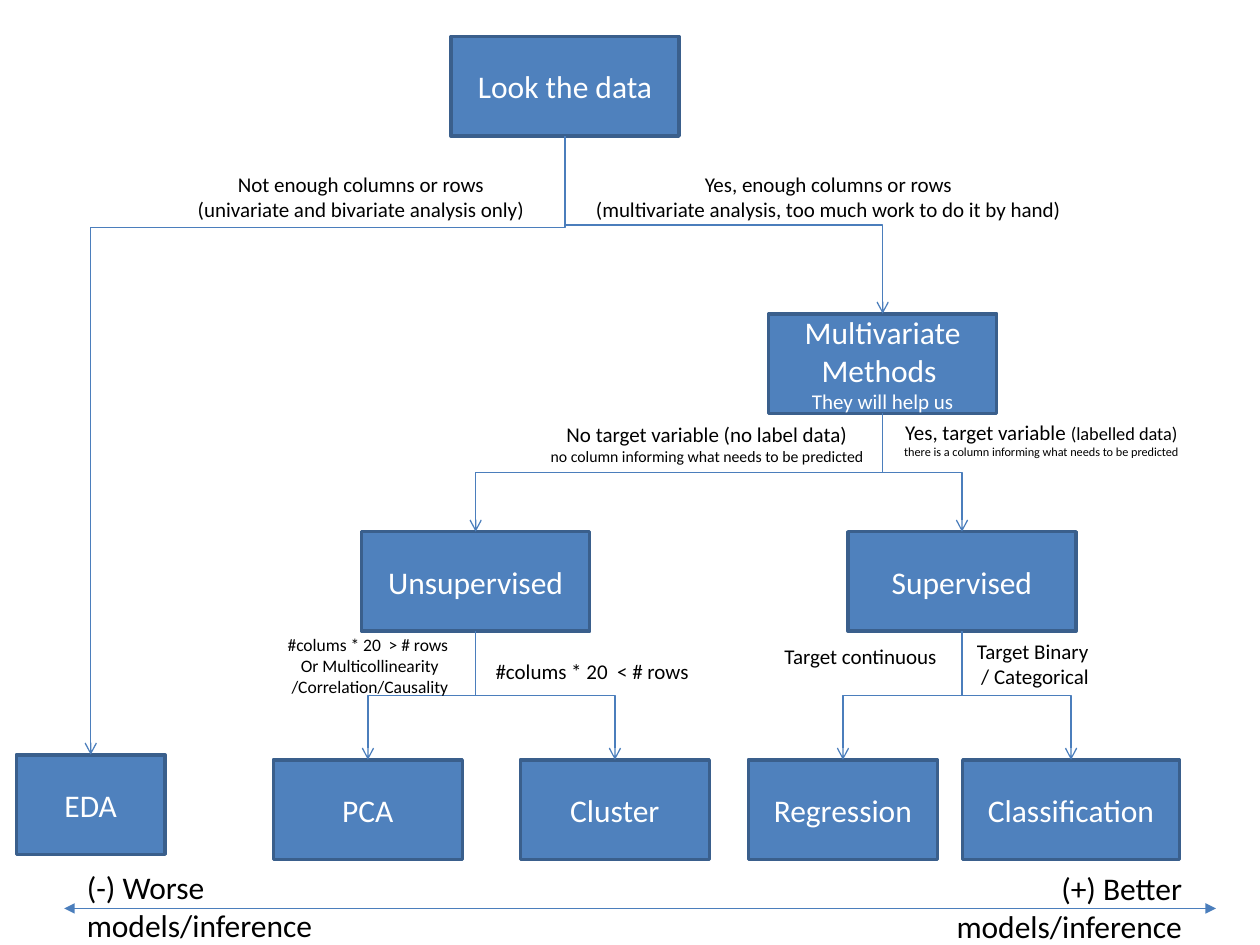
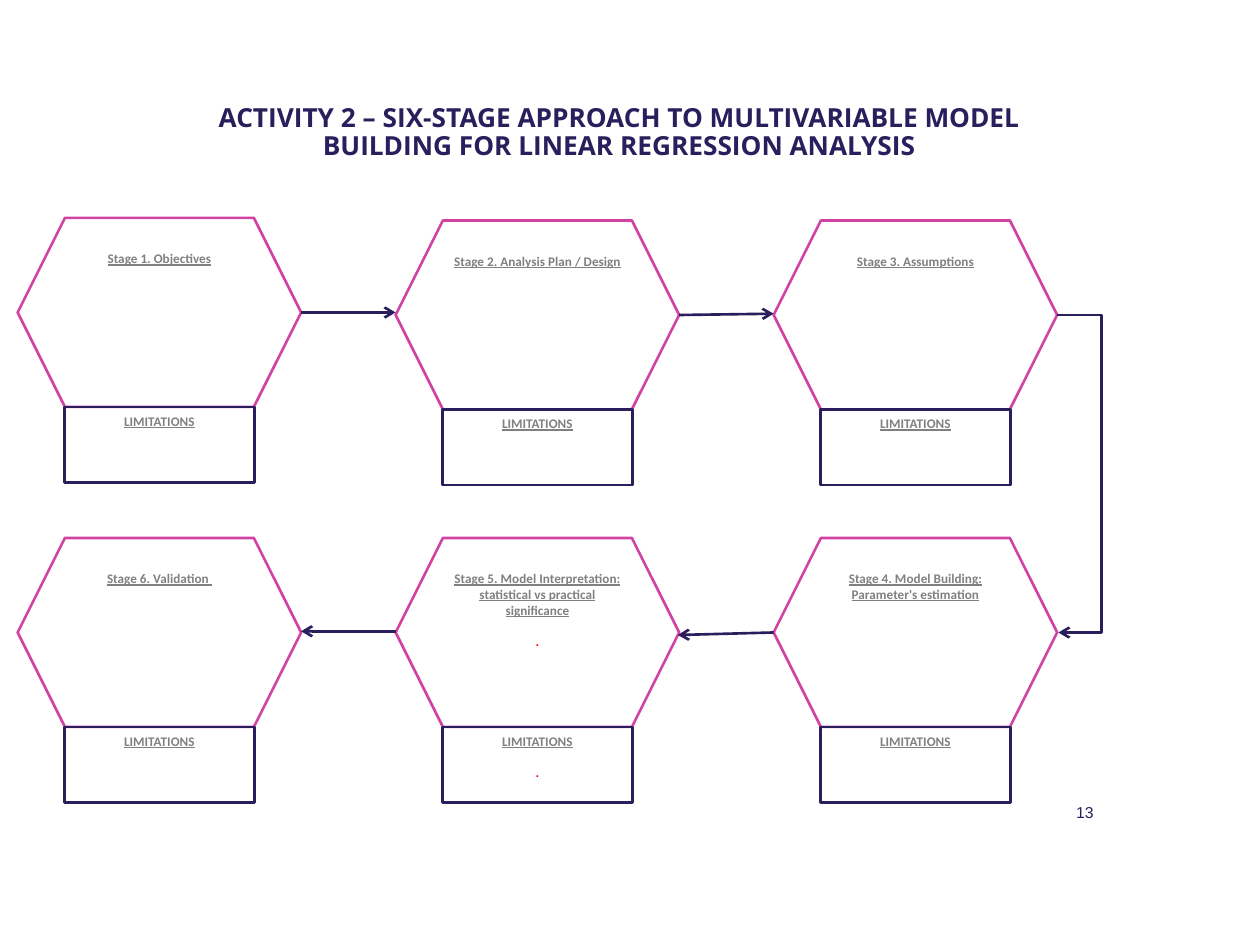
from lxml import etree
from pptx import Presentation
from pptx import util as u
from pptx.dml.color import RGBColor
from pptx.enum import shapes, text
from pptx.oxml import ns

HUES = {
    "box": "4F81BD", "edge": "3A5F8C", "wire": "4B7EBC", "white": "FFFFFF",
    "black": "000000", "navy": "2B1E5C", "pink": "D142A2", "gray": "808080", "red": "FF0000",
}
HUES = {name: RGBColor.from_string(code) for name, code in HUES.items()}
MID, LEFT, RIGHT = text.PP_ALIGN.CENTER, text.PP_ALIGN.LEFT, text.PP_ALIGN.RIGHT
KIND, LINK = shapes.MSO_SHAPE, shapes.MSO_CONNECTOR
TOP, HALF = text.MSO_ANCHOR.TOP, text.MSO_ANCHOR.MIDDLE

deck = Presentation()
deck.slide_width, deck.slide_height = u.Inches(10), u.Inches(7.5)
cell = deck.slide_width / 100


def write(shape, paras, size, hue, align=MID, face="Calibri", bold=None, line=None):
    frame = shape.text_frame
    for i, para in enumerate(paras):
        p = frame.add_paragraph() if i else frame.paragraphs[0]
        p.alignment = align
        font = p.font
        font.name, font.size, font.bold, font.underline = face, u.Pt(size), bold, line
        font.color.rgb = HUES[hue]
        if isinstance(para, str):
            p.text = para
            continue
        for words, points in para:
            if words == "\v":
                p.add_line_break()
            else:
                run = p.add_run()
                run.text, run.font.size = words, u.Pt(points)
    return frame


def wire(slide, ends, hue, width, tips, bend=None):
    kind = LINK.STRAIGHT if bend is None else LINK.ELBOW
    link = slide.shapes.add_connector(kind, *[int(v * cell) for v in ends])
    link.line.color.rgb, link.line.width = HUES[hue], u.Pt(width)
    props = link._element.spPr
    for tag, tip in tips.items():
        etree.SubElement(props.find(ns.qn("a:ln")), ns.qn("a:" + tag), type=tip)
    etree.SubElement(props, ns.qn("a:effectLst"))
    if bend is not None:
        guides = props.find(ns.qn("a:prstGeom")).get_or_add_avLst()
        etree.SubElement(guides, ns.qn("a:gd"), name="adj1", fmla=f"val {round(bend * 100000)}")
    return link


tree = deck.slides.add_slide(deck.slide_layouts[6])
nodes = {
    "Look the data": (35.8, 2.9, 18.1),
    "EDA": (1.3, 59.9, 11.8),
    "Unsupervised": (28.7, 42.2, 18.1),
    "Supervised": (67.3, 42.2, 18.1),
    "Multivariate Methods ": (61, 24.9, 18.1),
    "PCA": (21.7, 60.3, 15),
    "Cluster": (41.3, 60.3, 15),
    "Regression": (59.4, 60.3, 15),
    "Classification": (76.4, 60.3, 17.2),
}
tall = 7.9
for name, (x, y, w) in nodes.items():
    box = tree.shapes.add_shape(KIND.RECTANGLE, *[int(v * cell) for v in (x, y, w, tall)])
    box.shadow.inherit = False
    box.fill.solid()
    box.fill.fore_color.rgb = HUES["box"]
    box.line.color.rgb, box.line.width = HUES["edge"], u.Pt(2)
    multi = name.startswith("Multi")
    paras = [name, [("They will help us", 12)]] if multi else [name]
    write(box, paras, 18, "white").vertical_anchor = HALF

paths = [
    ("Look the data", "EDA", 0.148),
    ("Look the data", "Multivariate Methods ", 0.5),
    ("Multivariate Methods ", "Unsupervised", 0.5),
    ("Multivariate Methods ", "Supervised", 0.5),
    ("Unsupervised", "PCA", 0.5),
    ("Unsupervised", "Cluster", 0.5),
    ("Supervised", "Regression", 0.5),
    ("Supervised", "Classification", 0.5),
]
for start, end, bend in paths:
    (x1, y1, w1), (x2, y2, w2) = nodes[start], nodes[end]
    x1, x2, y1 = x1 + w1 / 2, x2 + w2 / 2, y1 + tall
    cx, cy, dx, dy = (x1 + x2) / 2, (y1 + y2) / 2, abs(x2 - x1) / 2, (y2 - y1) / 2
    link = wire(tree, (cx - dy, cy - dx, cx + dy, cy + dx), "wire", 0.75, {"tailEnd": "arrow"}, bend)
    xfrm = link._element.spPr.find(ns.qn("a:xfrm"))
    xfrm.set("rot", "5400000" if x2 < x1 else "16200000")
    if x2 > x1:
        xfrm.set("flipH", "1")

wire(tree, (5.1, 72.1, 96.5, 72.1), "wire", 0.75, {"headEnd": "triangle", "tailEnd": "triangle"})

notes = [
    ((14.6, 13.1, 28.1, 5), 12, MID,
     ["Not enough columns or rows", "(univariate and bivariate analysis only)"]),
    ((46.1, 13.1, 39.3, 5), 12, MID,
     ["Yes, enough columns or rows", "(multivariate analysis, too much work to do it by hand)"]),
    ((42.5, 33, 27.2, 4.5), 12, MID,
     [[("No target variable (no label data)", 12), ("\v", 12),
       ("no column informing what needs to be predicted", 9)]]),
    ((70.5, 32.8, 24.3, 4.2), 12, MID,
     [[("Yes, target variable ", 12), ("(labelled data)", 10.5), ("\v", 10.5),
       ("there is a column informing what needs to be predicted", 7)]]),
    ((21.7, 49.8, 15.3, 6.1), 10, MID,
     ["#colums * 20  > # rows ", "Or Multicollinearity\v/Correlation/Causality"]),
    ((38.2, 51.8, 17.6, 3), 12, MID, ["#colums * 20  < # rows"]),
    ((61.2, 50.6, 14.2, 3), 12, MID, ["Target continuous"]),
    ((76.5, 50.2, 11.3, 5), 12, MID, ["Target Binary \v/ Categorical"]),
    ((5.9, 68.4, 22.8, 7.1), 18, LEFT, ["(-) Worse models/inference"]),
    ((72, 68.5, 22.8, 7.1), 18, RIGHT, ["(+) Better models/inference"]),
]
for area, size, align, paras in notes:
    note = tree.shapes.add_textbox(*[int(v * cell) for v in area])
    frame = write(note, paras, size, "black", align)
    frame.word_wrap = size == 18
    frame.auto_size = text.MSO_AUTO_SIZE.SHAPE_TO_FIT_TEXT

plan = deck.slides.add_slide(deck.slide_layouts[5])
title = plan.shapes.title
title.left, title.top, title.width, title.height = [int(v * cell) for v in (15.4, 8.1, 67.5, 7.8)]
frame = write(
    title,
    ["ACTIVITY 2 – SIX-STAGE APPROACH TO MULTIVARIABLE MODEL BUILDING FOR LINEAR REGRESSION ANALYSIS"],
    15, "navy", MID, "Open Sans", True)
frame.auto_size, frame.word_wrap = text.MSO_AUTO_SIZE.NONE, True
frame.vertical_anchor, frame.margin_top = TOP, u.Inches(0.02)
frame.paragraphs[0].line_spacing = 0.9

page = plan.shapes.add_textbox(*[int(v * cell) for v in (70.6, 63, 16.9, 3)])
frame = write(page, ["13"], 9, "navy", RIGHT, "Arial")
frame.word_wrap, frame.vertical_anchor = True, HALF
frame.margin_left = frame.margin_right = u.Inches(0.07)
frame.margin_top = frame.margin_bottom = u.Inches(0.04)

stages = [
    "Stage 1. Objectives",
    "Stage 2. Analysis Plan / Design",
    "Stage 3. Assumptions",
    "Stage 4. Model Building: Parameter's estimation",
    "Stage 5. Model Interpretation: statistical vs practical significance",
    "Stage 6. Validation ",
]
for i, stage in enumerate(stages):
    row, col = divmod(i, 3)
    x = 1.4 + 30 * (2 - col if row else col)
    y = 17.5 + 25.2 * row - (0.2 if i == 0 else 0)
    parts = [
        (KIND.HEXAGON, (x, y, 22.5, 15), "pink", stage),
        (KIND.RECTANGLE, (x + 3.7, y + 15, 15.1, 6), "navy", "LIMITATIONS"),
    ]
    for kind, area, hue, words in parts:
        part = plan.shapes.add_shape(kind, *[int(v * cell) for v in area])
        part.shadow.inherit = False
        part.fill.background()
        part.line.color.rgb, part.line.width = HUES[hue], u.Pt(1.5)
        paras = [words, "."] if "Stage 5" in stage else [words]
        frame = write(part, paras, 7.5, "gray", MID, "Calibri", True, True)
        frame.vertical_anchor = TOP
        for dot in frame.paragraphs[1:]:
            dot.space_before = u.Pt(9)
            dot.font.underline = False
            dot.font.color.rgb = HUES["red"]

steps = [
    (23.9, 24.8, 31.4, 24.8, "tailEnd"),
    (53.9, 25, 61.4, 24.9, "tailEnd"),
    (53.8, 50.4, 61.4, 50.2, "headEnd"),
    (23.9, 50.1, 31.4, 50.1, "headEnd"),
]
for *ends, tip in steps:
    wire(plan, ends, "navy", 1.5, {tip: "arrow"})
wire(plan, (83.9, 25, 84, 50.2), "navy", 1.5, {"tailEnd": "arrow"}, 36)

deck.save("out.pptx")
